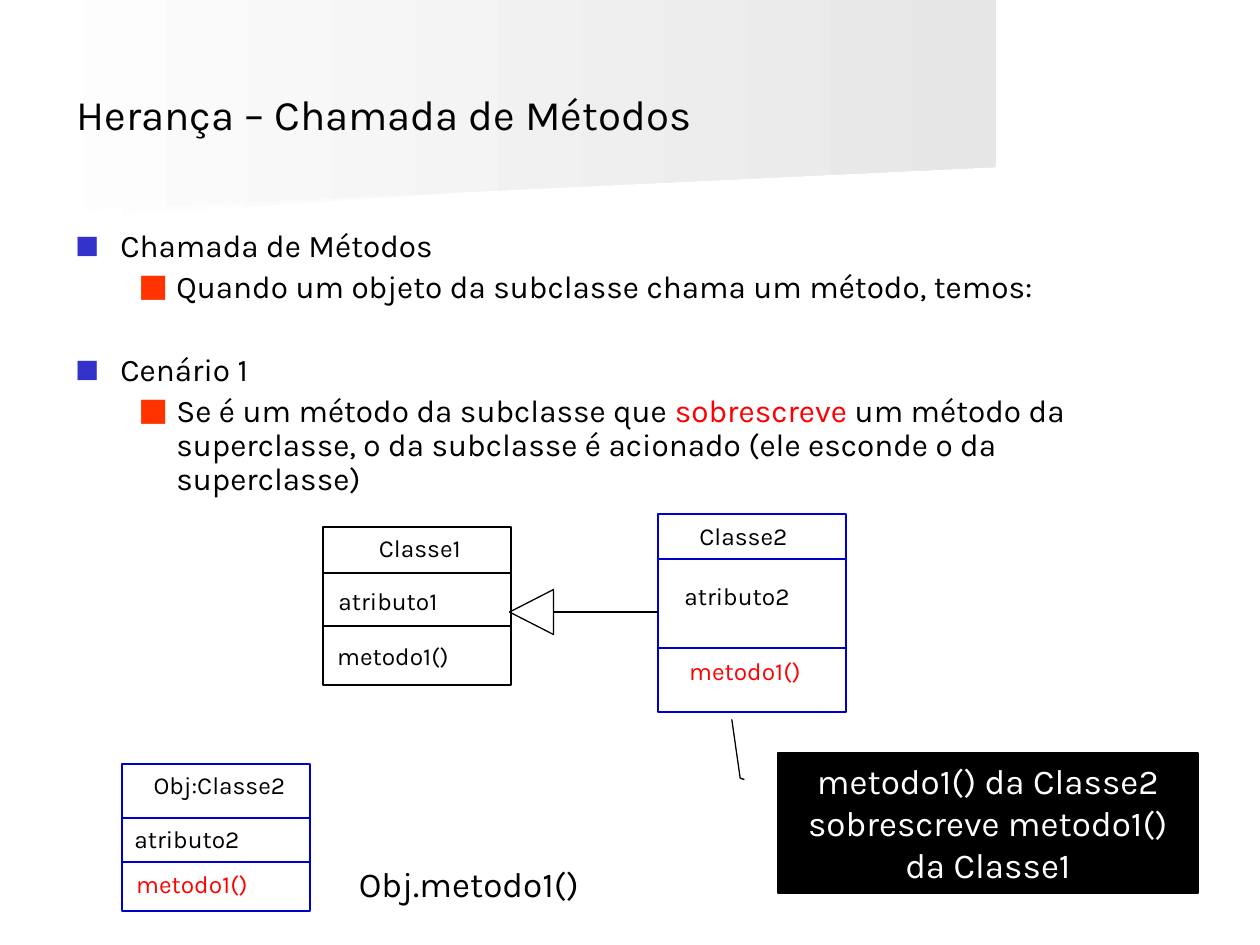
from lxml import etree
from pptx import Presentation
from pptx import util as u
from pptx.dml.color import RGBColor
from pptx.enum import shapes, text
from pptx.oxml.ns import qn

PX = u.Inches(1) / 126
FONT = "Karla"
COLORS = {
    "black": "000000", "white": "FFFFFF", "red": "FF0000", "blue": "0000CC",
    "bullet": "3333CC", "sub_bullet": "FF3300",
    "band_low": "F0F0F0", "band_high": "E6E6E6",
}


def px(*lengths):
    return [round(length * PX) for length in lengths]


def rgb(name):
    return RGBColor.from_string(COLORS[name])


def add_span(para, words, size, color="black"):
    span = para.add_run()
    span.text = words
    span.font.size = u.Pt(size)
    span.font.name = FONT
    span.font.color.rgb = rgb(color)


def style(shape, line=None, fill=None):
    shape.shadow.inherit = False
    if fill:
        shape.fill.solid()
        shape.fill.fore_color.rgb = rgb(fill)
    else:
        shape.fill.background()
    if line:
        shape.line.color.rgb = rgb(line)
        shape.line.width = u.Pt(0.75)
    else:
        shape.line.fill.background()


def add_band(page, points, end_color):
    builder = page.shapes.build_freeform(*points[0], scale=PX)
    builder.add_line_segments(points[1:], close=True)
    band = builder.convert_to_shape()
    style(band)
    band.fill.gradient()
    band.fill.gradient_angle = 0
    for stop, color in zip(band.fill.gradient_stops, ("white", end_color)):
        stop.color.rgb = rgb(color)


def add_title(page, words):
    title = page.shapes.title
    title.left, title.top, title.width, title.height = px(64, 35, 1134, 158)
    title.text_frame.vertical_anchor = text.MSO_ANCHOR.MIDDLE
    para = title.text_frame.paragraphs[0]
    para.alignment = text.PP_ALIGN.LEFT
    add_span(para, words, 24)
    page.shapes._spTree.append(title._element)  # in front of the bands


def add_bullet(para, level, space):
    margin, hang, color, size = [(45, 45, "bullet", 80), (101, 38, "sub_bullet", 100)][level]
    para.level = level
    props = para._p.get_or_add_pPr()
    props.set("marL", str(px(margin)[0]))
    props.set("indent", str(px(-hang)[0]))
    holder = etree.SubElement(props, qn("a:buClr"))
    etree.SubElement(holder, qn("a:srgbClr"), val=COLORS[color])
    etree.SubElement(props, qn("a:buSzPct"), val=str(size * 1000))
    etree.SubElement(props, qn("a:buFont"), typeface=FONT)
    etree.SubElement(props, qn("a:buChar"), char="■")
    para.line_spacing = 0.9
    para.space_before = u.Pt(space)


def add_body(page, items):
    box = page.shapes.add_textbox(*px(63, 224, 1137, 246))
    frame = box.text_frame
    frame.word_wrap = True
    for index, (level, space, spans) in enumerate(items):
        para = frame.add_paragraph() if index else frame.paragraphs[0]
        add_bullet(para, level, space)
        for words, color in spans:
            add_span(para, words, 18, color)


def add_label(page, words, left, top, width, color="black", size=14, height=43, fill=None):
    box = page.shapes.add_textbox(*px(left, top, width, height))
    if fill:
        style(box, fill=fill)
    box.text_frame.word_wrap = False
    box.text_frame.auto_size = text.MSO_AUTO_SIZE.SHAPE_TO_FIT_TEXT
    para = box.text_frame.paragraphs[0]
    para.alignment = text.PP_ALIGN.CENTER
    add_span(para, words, size, color)


def add_line(page, start, end, color):
    line = page.shapes.add_connector(shapes.MSO_CONNECTOR.STRAIGHT, *px(*start, *end))
    line.line.color.rgb = rgb(color)
    line.line.width = u.Pt(0.75)
    etree.SubElement(line._element.spPr, qn("a:effectLst"))


def add_class_box(page, left, top, height, dividers, labels, color, fill=None):
    width = 188
    frame = page.shapes.add_shape(shapes.MSO_SHAPE.RECTANGLE, *px(left, top, width, height))
    style(frame, color, fill)
    for y in dividers:
        add_line(page, (left, y), (left + width - 1, y), color)
    for label in labels:
        add_label(page, *label, fill=fill)


def add_inheritance_arrow(page):
    head = page.shapes.add_shape(shapes.MSO_SHAPE.ISOSCELES_TRIANGLE, *px(509, 590, 45, 44))
    head.rotation = 270
    style(head, "black")
    add_line(page, (658, 612), (553, 612), "black")


def add_callout(page, words):
    note = page.shapes.add_shape(shapes.MSO_SHAPE.LINE_CALLOUT_2, *px(778, 753, 420, 140))
    for index, value in enumerate((0.19, -0.08, 0.18, -0.09, -0.24, -0.11)):
        note.adjustments[index] = value
    style(note, "black", "black")
    note.text_frame.word_wrap = True
    note.text_frame.vertical_anchor = text.MSO_ANCHOR.TOP
    para = note.text_frame.paragraphs[0]
    para.alignment = text.PP_ALIGN.CENTER
    add_span(para, words, 20, "white")


def main():
    deck = Presentation()
    deck.slide_width, deck.slide_height = px(1260, 945)
    page = deck.slides.add_slide(deck.slide_layouts[5])

    # Background bands and title
    add_band(page, [(979, 158), (0, 223), (0, 105), (980, 105)], "band_low")
    add_band(page, [(996, 167), (0, 214), (0, 0), (996, 0)], "band_high")
    add_title(page, "Herança – Chamada de Métodos")

    # Explanation
    add_body(page, [
        (0, 0, [("Chamada de Métodos", "black")]),
        (1, 4, [("Quando um objeto da subclasse chama um método, temos:", "black")]),
        (0, 28, [("Cenário 1", "black")]),
        (1, 4, [
            ("Se é um método da subclasse que ", "black"),
            ("sobrescreve", "red"),
            (" um método da superclasse, o da subclasse é acionado "
             "(ele esconde o da superclasse)", "black"),
        ]),
    ])

    # Class diagram
    add_class_box(page, 323, 527, 158, (573, 626), [
        ("Classe1", 364, 527, 112),
        ("atributo1", 322, 580, 132),
        ("metodo1()", 321, 635, 144),
    ], "black")
    add_class_box(page, 658, 514, 198, (559, 648), [
        ("Classe2", 680, 515, 127),
        ("atributo2", 671, 575, 132),
        ("metodo1()", 673, 650, 144, "red"),
    ], "blue", "white")
    add_inheritance_arrow(page)

    # Note, object and call
    add_callout(page, "metodo1() da Classe2 sobrescreve metodo1() da Classe1")
    add_class_box(page, 122, 764, 147, (818, 862), [
        ("Obj:Classe2", 140, 764, 159),
        ("atributo2", 121, 818, 132),
        ("metodo1()", 120, 863, 144, "red"),
    ], "blue")
    add_label(page, "Obj.metodo1()", 338, 856, 262, size=20, height=55)

    deck.save("out.pptx")


if __name__ == "__main__":
    main()
